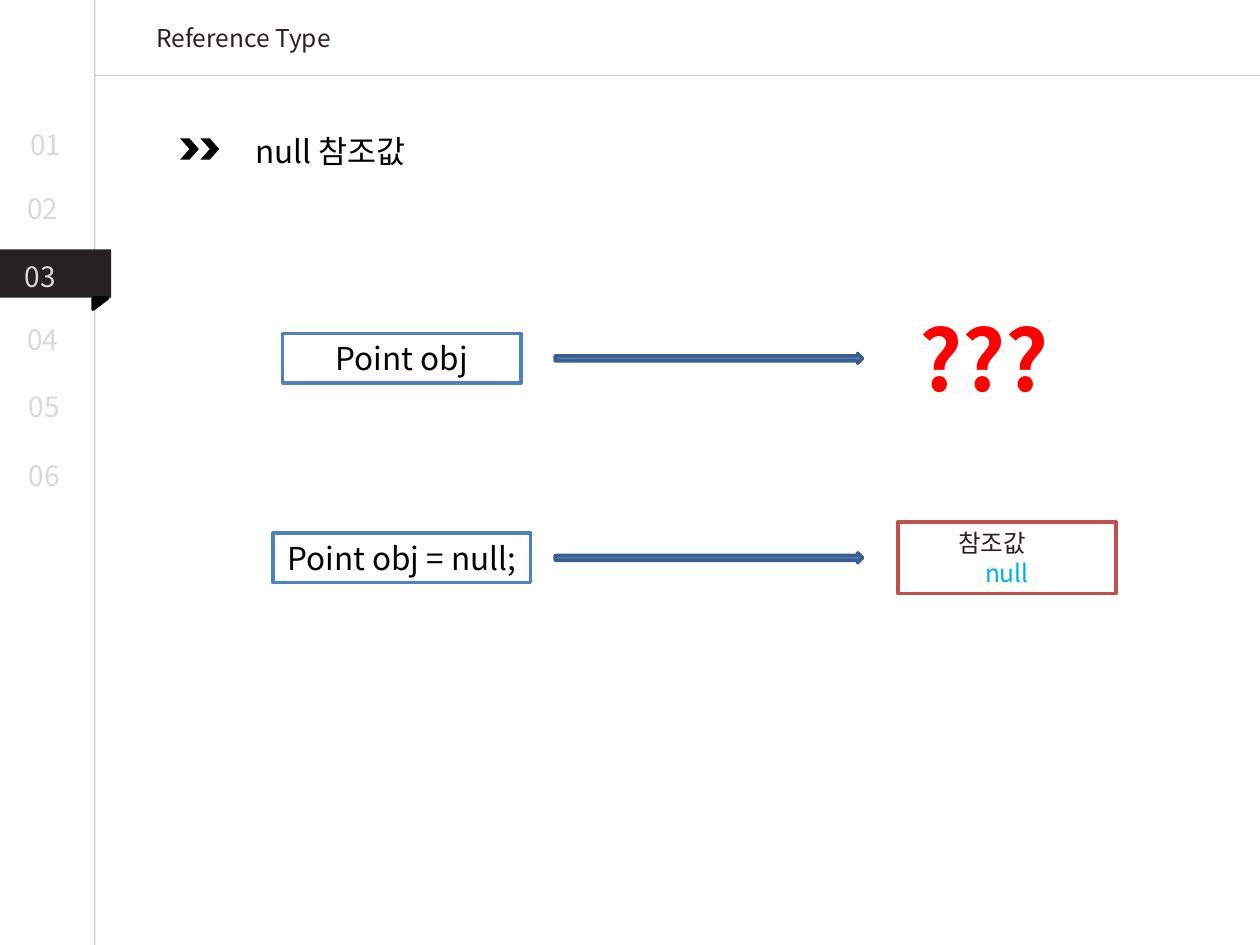
import pptx
import pptx.util
import pptx.dml.color
import pptx.enum.shapes
import pptx.enum.text
import pptx.oxml.ns
import lxml.etree

Cm = pptx.util.Cm
Pt = pptx.util.Pt
Kind = pptx.enum.shapes.MSO_SHAPE
Align = pptx.enum.text.PP_ALIGN
Anchor = pptx.enum.text.MSO_ANCHOR
qn = pptx.oxml.ns.qn

FONT = "Noto Sans CJK KR"
INK = "272123"
BLACK = "000000"
WHITE = "FFFFFF"
PALE = "D9D9D9"
BLUE = "4F81BD"
WIDE, HIGH = 25.4, 19.05
EDGE = 1.91
BAR = 1.52


def tint(hue):
    return pptx.dml.color.RGBColor.from_string(hue)


def write(shape, text, size=18, hue=BLACK, bold=False, align=Align.LEFT,
          anchor=Anchor.TOP, more=False, indent=0):
    frame = shape.text_frame
    frame.word_wrap = True
    frame.auto_size = pptx.enum.text.MSO_AUTO_SIZE.NONE
    frame.vertical_anchor = anchor
    frame.margin_left = frame.margin_right = Cm(0.25)
    frame.margin_top = frame.margin_bottom = Cm(0.13)
    para = frame.add_paragraph() if more else frame.paragraphs[0]
    para.alignment = align
    if indent:
        para._p.get_or_add_pPr().set("marL", str(Cm(indent)))
    run = para.add_run()
    run.text = text
    run.font.name = FONT
    run.font.size = Pt(size)
    run.font.bold = bold
    run.font.color.rgb = tint(hue)
    east = lxml.etree.SubElement(run._r.get_or_add_rPr(), qn("a:ea"))
    east.set("typeface", FONT)


def label(slide, box, text, **form):
    write(slide.shapes.add_textbox(*map(Cm, box)), text, **form)


def draw(slide, kind, box, fill, edge=None):
    shape = slide.shapes.add_shape(kind, *map(Cm, box))
    shape.shadow.inherit = False
    shape.fill.solid()
    shape.fill.fore_color.rgb = tint(fill)
    if edge:
        shape.line.color.rgb = tint(edge)
        shape.line.width = Pt(2)
    else:
        shape.line.fill.background()
    return shape


def rule(slide, *ends):
    line = slide.shapes.add_connector(
        pptx.enum.shapes.MSO_CONNECTOR.STRAIGHT, *map(Cm, ends))
    line.line.color.rgb = tint("A6A6A6")
    line.line.width = Pt(0.75)
    props = line._element.spPr
    alpha = lxml.etree.SubElement(next(props.iter(qn("a:srgbClr"))), qn("a:alpha"))
    alpha.set("val", "50000")
    lxml.etree.SubElement(props, qn("a:effectLst"))


def header(slide, box):
    left, top, width, height = box
    rule(slide, left, top + height, left + width, top + height)
    title = slide.shapes.title
    title.left, title.top = Cm(left + 0.99), Cm(top + 0.33)
    title.width, title.height = Cm(9.4), Cm(0.86)
    write(title, "Reference Type", size=14, hue=INK)


def menu(slide, box, active):
    left, top, width, height = box
    rule(slide, left + width, top, left + width, top + height)
    spots = [(0.36, 2.44), (0.3, 3.73), (0.25, 5.11),
             (0.3, 6.38), (0.33, 7.72), (0.33, 9.12)]
    for num, (x, y) in enumerate(spots, 1):
        if num == active:
            tab = top + y - 0.08
            draw(slide, Kind.RECTANGLE, (left, tab, width + 0.33, 0.97), INK)
            fold = draw(slide, Kind.RIGHT_TRIANGLE,
                        (left + width, tab + 0.94, 0.23, 0.3), BLACK, BLACK)
            fold.rotation = 90
        label(slide, (left + x, top + y, 1.4, 0.94), f"{num:02}", size=16, hue=PALE)


def topic(slide, box, text):
    left, top, width, height = box
    for step in range(2):
        draw(slide, Kind.CHEVRON, (left + 0.41 * step, top + 0.25, 0.38, 0.43), BLACK)
    label(slide, (left + 1.27, top, width - 1.27, height), text)


def source(slide, box, text, width):
    left, top, full, height = box
    mid = top + height / 2
    name = draw(slide, Kind.RECTANGLE,
                (left + 2.6 - width / 2, mid - 0.5, width, 1), WHITE, BLUE)
    write(name, text, align=Align.CENTER, anchor=Anchor.MIDDLE)
    draw(slide, Kind.RIGHT_ARROW, (left + 5.69, mid - 0.1, 6.2, 0.2), BLUE, "3A5F8C")


def unknown(slide, box):
    source(slide, box, "Point obj", 4.8)
    left, top, width, height = box
    label(slide, (left + width - 4.22, top + height / 2 - 1.15, 4.4, 2.31), "???",
          size=48, hue="FF0000", bold=True)


def known(slide, box):
    source(slide, box, "Point obj = null;", 5.2)
    left, top, width, height = box
    value = draw(slide, Kind.RECTANGLE,
                 (left + width - 4.4, top, 4.4, height), WHITE, "C0504D")
    write(value, "참조값", size=14, hue=INK, indent=0.97)
    write(value, "null", size=14, hue="00B0F0", align=Align.CENTER, more=True)


def main():
    deck = pptx.Presentation()
    deck.slide_width, deck.slide_height = Cm(WIDE), Cm(HIGH)
    slide = deck.slides.add_slide(deck.slide_layouts[5])
    header(slide, (EDGE, 0, WIDE - EDGE, BAR))
    menu(slide, (0, 0, EDGE, HIGH), active=3)
    topic(slide, (3.63, 2.54, 9.4, 1.02), "null 참조값")
    unknown(slide, (5.5, 6.5, 17, 1.45))
    known(slide, (5.5, 10.52, 17, 1.45))
    deck.save("out.pptx")


if __name__ == "__main__":
    main()
